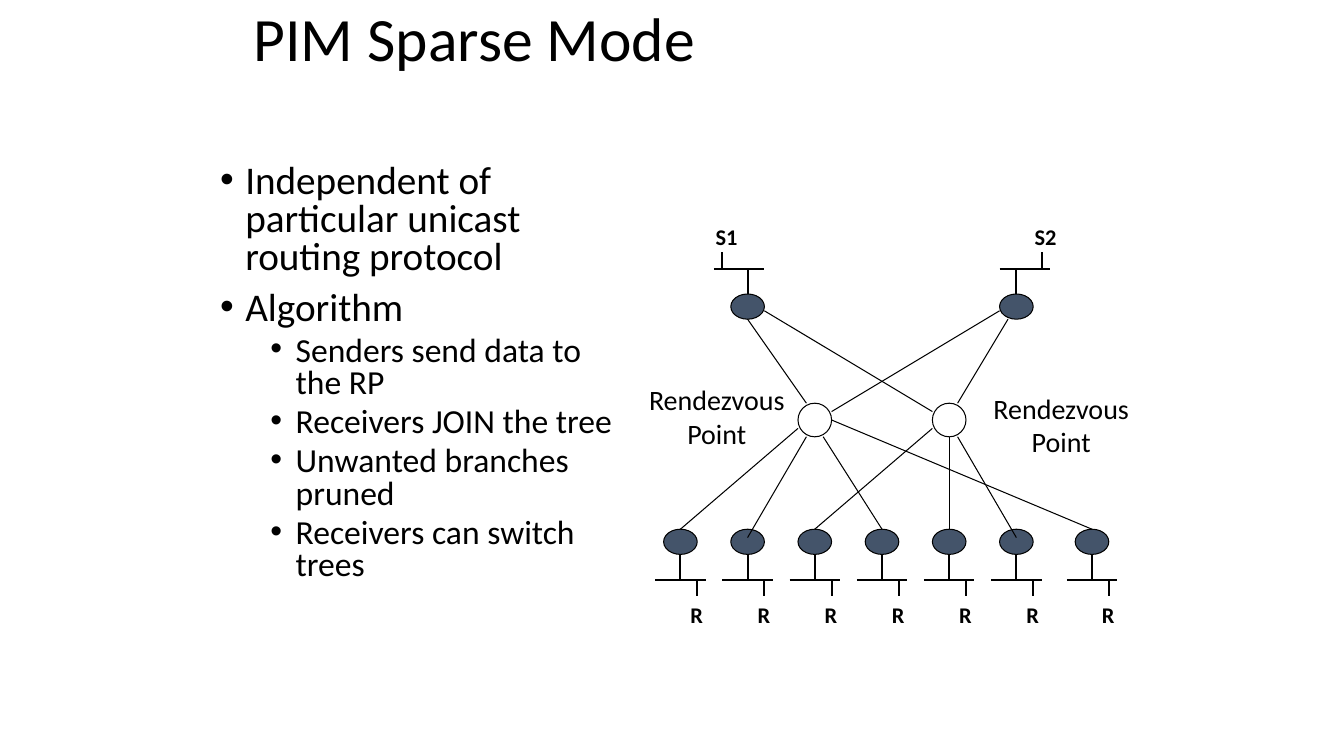
from lxml import etree
from pptx import Presentation
from pptx.dml.color import RGBColor
from pptx.enum import shapes, text
from pptx.oxml import ns
from pptx.util import Pt

BLACK = RGBColor(0x00, 0x00, 0x00)
SLATE = RGBColor(0x44, 0x54, 0x6A)


def set_all(obj, values):
    for name, value in values.items():
        setattr(obj, name, value)


class Diagram:
    font = {"name": "Calibri", "bold": False}
    thin, thick = 0.75, 1.5

    def __init__(self, slide):
        self.s = slide

    def add_text(self, p, line, size, **fmt):
        r = p.add_run()
        r.text = line
        set_all(r.font, {**self.font, "size": Pt(size), **fmt})
        r.font.color.rgb = BLACK

    def place(self, sp, left, top, width, height):
        set_all(sp, {"left": Pt(left), "top": Pt(top), "width": Pt(width), "height": Pt(height)})

    def title(self, line, box):
        sp = self.s.shapes.title
        self.place(sp, *box)
        tf = sp.text_frame
        set_all(tf, {"vertical_anchor": text.MSO_ANCHOR.MIDDLE, "auto_size": text.MSO_AUTO_SIZE.NONE})
        p = tf.paragraphs[0]
        set_all(p, {"alignment": text.PP_ALIGN.LEFT, "line_spacing": 0.9})
        self.add_text(p, line, 44)

    def bullets(self, items, box):
        sp = self.s.placeholders[1]
        self.place(sp, *box)
        tf = sp.text_frame
        tf.auto_size = text.MSO_AUTO_SIZE.NONE
        for i, (level, line) in enumerate(items):
            p = tf.add_paragraph() if i else tf.paragraphs[0]
            size, before, margin = ((28, 10, 18), (24, 5, 54))[level]
            set_all(p, {"level": level, "line_spacing": 0.8, "space_before": Pt(before)})
            pPr = p._p.get_or_add_pPr()
            pPr.set("marL", str(Pt(margin)))
            pPr.set("indent", str(-Pt(18)))
            etree.SubElement(pPr, ns.qn("a:buFont")).set("typeface", "Arial")
            etree.SubElement(pPr, ns.qn("a:buChar")).set("char", "•")
            self.add_text(p, line, size)

    def label(self, lines, left, top, width, height, size, align, bold=False):
        sp = self.s.shapes.add_textbox(Pt(left), Pt(top), Pt(width), Pt(height))
        tf = sp.text_frame
        tf.word_wrap = False
        for i, line in enumerate(lines):
            p = tf.add_paragraph() if i else tf.paragraphs[0]
            p.alignment = align
            self.add_text(p, line, size, bold=bold)

    def node(self, cx, top, height, fill=None):
        sp = self.s.shapes.add_shape(shapes.MSO_SHAPE.OVAL, Pt(cx - 12), Pt(top), Pt(24), Pt(height))
        sp.shadow.inherit = False
        if fill is None:
            sp.fill.background()
        else:
            sp.fill.solid()
            sp.fill.fore_color.rgb = fill
        sp.line.color.rgb = BLACK
        sp.line.width = Pt(self.thin)

    def line(self, x1, y1, x2, y2, width):
        c = self.s.shapes.add_connector(shapes.MSO_CONNECTOR.STRAIGHT, Pt(x1), Pt(y1), Pt(x2), Pt(y2))
        c.line.color.rgb = BLACK
        c.line.width = Pt(width)
        etree.SubElement(c._element.spPr, ns.qn("a:effectLst"))

    def receiver(self, cx):
        self.node(cx, 378, 18, SLATE)
        self.line(cx, 396, cx, 414, self.thick)
        self.line(cx - 18, 414, cx + 18, 414, self.thick)
        self.line(cx + 12, 414, cx + 12, 426, self.thick)
        self.label(["R"], cx, 426, 24, 26.6, 16, text.PP_ALIGN.LEFT, True)

    def sender(self, name, cx, bus, host):
        self.node(cx, 210, 18, SLATE)
        self.line(cx, 192, cx, 210, self.thick)
        self.line(bus, 192, bus + 36, 192, self.thick)
        self.line(host, 180, host, 192, self.thick)
        self.label([name], host - 12, 156, 32, 26.6, 16, text.PP_ALIGN.LEFT, True)

    def rendezvous(self, cx, left, top):
        self.node(cx, 288, 24)
        self.label(["Rendezvous", "Point"], left, top, 112, 55.4, 20, text.PP_ALIGN.CENTER)


prs = Presentation()
set_all(prs, {"slide_width": Pt(960), "slide_height": Pt(540)})
d = Diagram(prs.slides.add_slide(prs.slide_layouts[1]))

d.title("PIM Sparse Mode", (174, 0, 612, 60))
d.bullets([
    (0, "Independent of particular unicast routing protocol"),
    (0, "Algorithm"),
    (1, "Senders send data to the RP"),
    (1, "Receivers JOIN the tree"),
    (1, "Unwanted branches pruned"),
    (1, "Receivers can switch trees"),
], (150, 114, 300, 324))

RECEIVERS = [486 + 48 * i for i in range(6)] + [780]
S1, S2 = 534, 726
RP1, RP2 = 582, 678

for cx in RECEIVERS:
    d.receiver(cx)
d.rendezvous(RP1, 456, 270)
d.rendezvous(RP2, 702, 276)
d.sender("S1", S1, 510, 516)
d.sender("S2", S2, 714, 744)

SENDER_LINKS = [
    (S1, 228, RP1 - 6, 288),
    (S1 + 12, 222, RP2 - 12, 294),
    (S2 - 12, 222, RP1 + 12, 294),
    (S2 - 6, 228, RP2 + 6, 288),
]
RECEIVER_LINKS = [
    (RP1 - 12, 306, RECEIVERS[0], 378),
    (RP1 - 6, 312, RECEIVERS[1], 384),
    (RP1 + 6, 312, RECEIVERS[3], 378),
    (RP1 + 12, 300, RECEIVERS[6], 378),
    (RP2 - 12, 306, RECEIVERS[2], 378),
    (RP2, 312, RECEIVERS[4], 378),
    (RP2 + 6, 312, RECEIVERS[5], 384),
]
for link in SENDER_LINKS + RECEIVER_LINKS:
    d.line(*link, d.thin)

prs.save("out.pptx")
